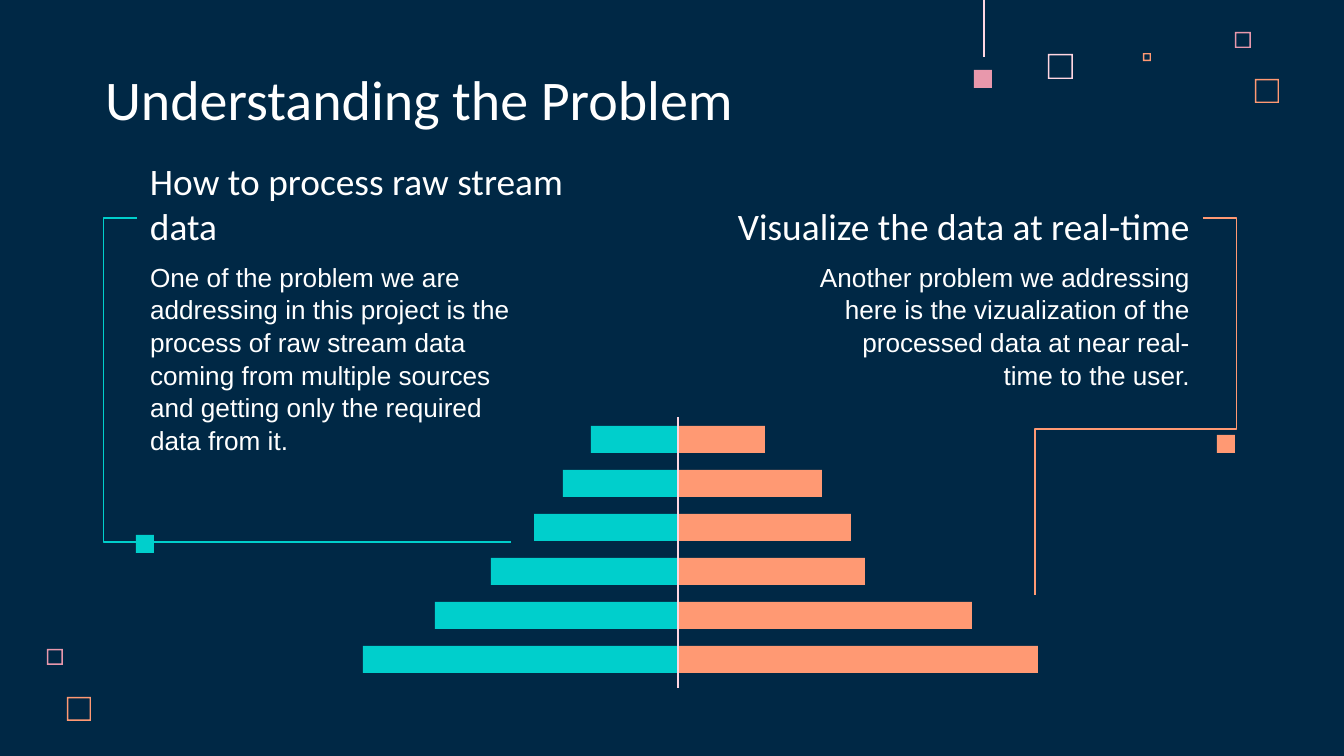
from lxml import etree
from pptx import Presentation
from pptx.dml.color import RGBColor
from pptx.enum.shapes import MSO_CONNECTOR, MSO_SHAPE
from pptx.enum.text import MSO_ANCHOR, PP_ALIGN
from pptx.oxml.ns import qn
from pptx.util import Emu, Pt

RECTANGLE, FRAME = MSO_SHAPE.RECTANGLE, MSO_SHAPE.FRAME
STRAIGHT, ELBOW = MSO_CONNECTOR.STRAIGHT, MSO_CONNECTOR.ELBOW
TOP, BOTTOM = MSO_ANCHOR.TOP, MSO_ANCHOR.BOTTOM
LEFT, RIGHT = PP_ALIGN.LEFT, PP_ALIGN.RIGHT

NAVY = RGBColor(0x00, 0x28, 0x45)
WHITE = RGBColor(0xFF, 0xFF, 0xFF)
TEAL = RGBColor(0x00, 0xCF, 0xCC)
ORANGE = RGBColor(0xFF, 0x99, 0x73)
PINK = RGBColor(0xE8, 0x98, 0xAC)
PALE_PINK = RGBColor(0xFF, 0xD6, 0xE1)

EMU_PER_PX = 914400 / 134.4
WIDTH, HEIGHT = 1344, 756
INSET = 13
FRAME_THICKNESS = 1.4

AXIS_X = 678
FIRST_BAR_TOP, BAR_PITCH, BAR_HEIGHT = 426, 44, 27
TEAL_BARS = [87, 115, 144, 187, 243, 315]
ORANGE_BARS = [87, 144, 173, 187, 294, 360]


def px(length):
    return Emu(round(length * EMU_PER_PX))


class SlideBuilder:
    heading_font = "Calibri"
    body_font = "Arial"
    line_width = Pt(0.75)

    def __init__(self, presentation):
        self.slide = presentation.slides.add_slide(presentation.slide_layouts[6])
        background = self.slide.background.fill
        background.solid()
        background.fore_color.rgb = NAVY

    def box(self, left, top, width, height, color, kind=RECTANGLE):
        """Add a filled shape without outline."""
        shape = self.slide.shapes.add_shape(
            kind, px(left), px(top), px(width), px(height))
        shape.shadow.inherit = False
        shape.fill.solid()
        shape.fill.fore_color.rgb = color
        shape.line.fill.background()
        return shape

    def hollow_square(self, left, top, size, color):
        shape = self.box(left, top, size, size, color, FRAME)
        shape.adjustments[0] = FRAME_THICKNESS / size

    def line(self, start, end, color, kind=STRAIGHT):
        connector = self.slide.shapes.add_connector(
            kind, px(start[0]), px(start[1]), px(end[0]), px(end[1]))
        connector.line.color.rgb = color
        connector.line.width = self.line_width
        etree.SubElement(connector._element.spPr, qn("a:effectLst"))
        return connector

    def bracket(self, start, end, color, preset, bends):
        """Add an elbow connector whose bends are fractions of its size."""
        connector = self.line(start, end, color, ELBOW)
        geometry = connector._element.spPr.find(qn("a:prstGeom"))
        geometry.set("prst", preset)
        guides = geometry.find(qn("a:avLst"))
        for number, bend in enumerate(bends, 1):
            etree.SubElement(guides, qn("a:gd"), name=f"adj{number}",
                             fmla=f"val {round(bend * 100000)}")

    def text(self, left, top, width, height, words, size, font,
             align=LEFT, anchor=TOP, spacing=1.0):
        frame = self.slide.shapes.add_textbox(
            px(left), px(top), px(width), px(height)).text_frame
        frame.word_wrap = True
        frame.vertical_anchor = anchor
        frame.margin_left = frame.margin_right = px(INSET)
        frame.margin_top = frame.margin_bottom = px(INSET)
        paragraph = frame.paragraphs[0]
        paragraph.alignment = align
        paragraph.line_spacing = spacing
        run = paragraph.add_run()
        run.text = words
        run.font.size = Pt(size)
        run.font.name = font
        run.font.color.rgb = WHITE

    def heading(self, left, top, width, height, words, size=20, align=LEFT):
        self.text(left, top, width, height, words, size,
                  self.heading_font, align, BOTTOM)

    def body(self, left, top, width, height, words, align=LEFT):
        self.text(left, top, width, height, words, 14,
                  self.body_font, align, spacing=1.04)


def add_decoration(builder):
    for left, top, size, color in [
        (1048, 54, 25, PALE_PINK),
        (1235, 32, 16, PINK),
        (1143, 53, 8, ORANGE),
        (1255, 79, 24, ORANGE),
        (47, 649, 16, PINK),
        (67, 697, 24, ORANGE),
    ]:
        builder.hollow_square(left, top, size, color)
    builder.box(974, 70, 18, 18, PINK)
    builder.line((984, 0), (984, 57), PALE_PINK)


def add_pyramid(builder):
    for row, (teal, orange) in enumerate(zip(TEAL_BARS, ORANGE_BARS)):
        top = FIRST_BAR_TOP + row * BAR_PITCH
        builder.box(AXIS_X, top, orange, BAR_HEIGHT, ORANGE)
        builder.box(AXIS_X - teal, top, teal, BAR_HEIGHT, TEAL)
    builder.line((AXIS_X, 417), (AXIS_X, 688), PALE_PINK)


def main():
    presentation = Presentation()
    presentation.slide_width = px(WIDTH)
    presentation.slide_height = px(HEIGHT)
    builder = SlideBuilder(presentation)

    add_decoration(builder)
    builder.heading(92, 60, 904, 85, "Understanding the Problem", 30)

    builder.heading(137, 176, 505, 85, "How to process raw stream data")
    builder.body(137, 247, 386, 206,
                 "One of the problem we are addressing in this project is the "
                 "process of raw stream data coming from multiple sources and "
                 "getting only the required data from it.")
    builder.heading(723, 176, 480, 85, "Visualize the data at real-time",
                    align=RIGHT)
    builder.body(801, 247, 402, 164,
                 "Another problem we addressing here is the vizualization of "
                 "the processed data at near real-time to the user.",
                 align=RIGHT)

    add_pyramid(builder)
    builder.bracket((137, 218), (511, 542), TEAL, "bentConnector3", [-0.09])
    builder.bracket((1203, 218), (1035, 595), ORANGE, "bentConnector4",
                    [-0.2, 0.56])
    builder.box(136, 535, 18, 18, TEAL)
    builder.box(1217, 435, 18, 18, ORANGE)

    presentation.save("out.pptx")


if __name__ == "__main__":
    main()
